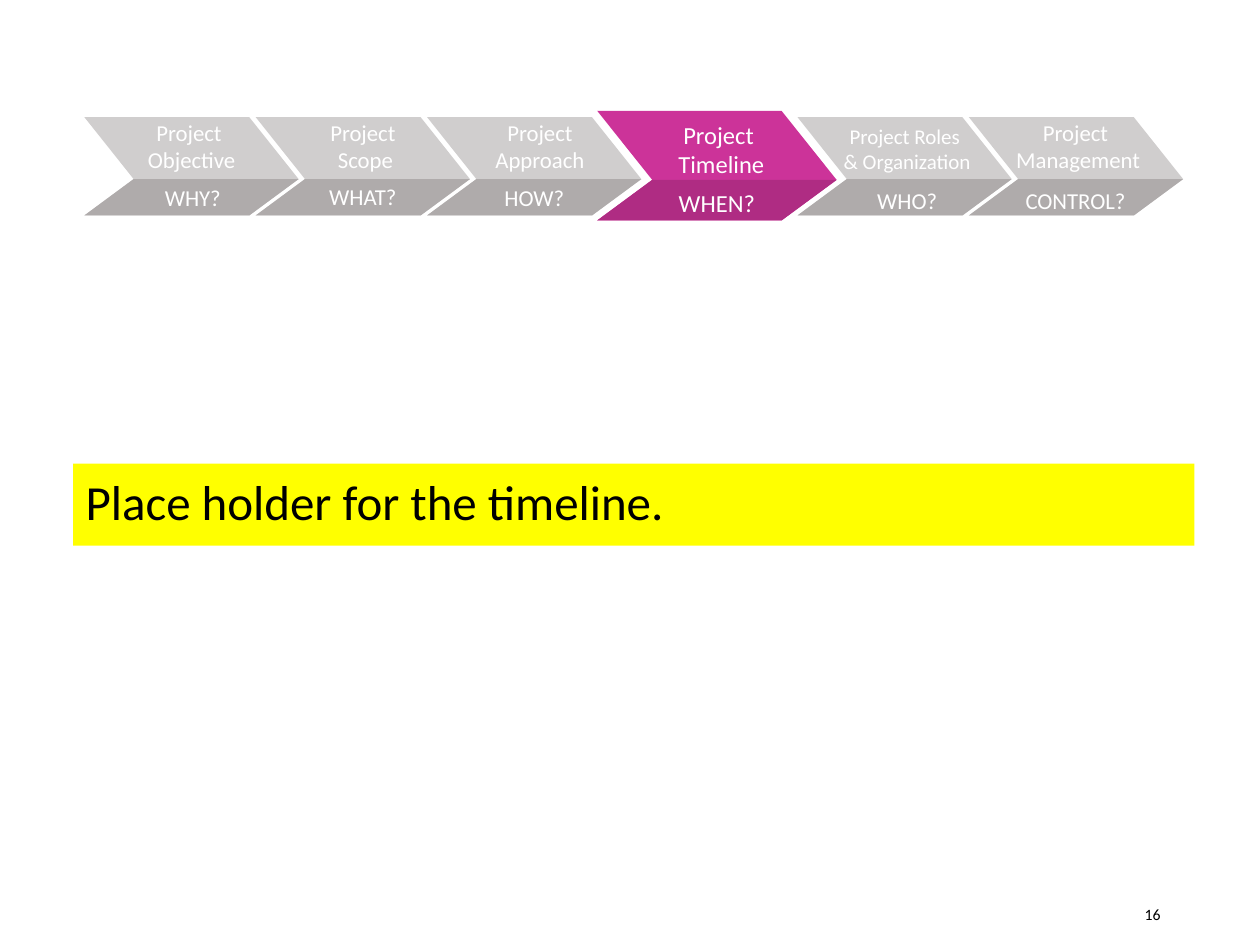
from dataclasses import dataclass

from pptx import Presentation
from pptx.dml.color import RGBColor
from pptx.enum.text import MSO_ANCHOR, MSO_AUTO_SIZE, PP_ALIGN
from pptx.util import Inches, Pt

LEFT, CENTER, RIGHT = PP_ALIGN.LEFT, PP_ALIGN.CENTER, PP_ALIGN.RIGHT
TOP, MIDDLE = MSO_ANCHOR.TOP, MSO_ANCHOR.MIDDLE
NO_AUTO_SIZE = MSO_AUTO_SIZE.NONE

TITLE_ONLY_LAYOUT = 5
FONT = "Calibri"
STEP_PITCH = 1.36
NOTCH_RATIO = 0.23
WAIST_RATIO = 0.63


@dataclass
class Chevron:
    top: float
    width: float
    height: float
    upper_color: str
    lower_color: str


PLAIN = Chevron(0.93, 1.7, 0.78, "D0CECE", "AFABAB")
ACTIVE = Chevron(0.88, 1.9, 0.87, "CC3399", "AF2C83")

# chevron, left, label lines, label box, question, question box, label size, question size
STEPS = [
    (PLAIN, 0.67, ["Project ", "Objective"], (0.68, 0.89, 1.68, 0.54),
     "WHY?", (0.69, 1.41, 1.68, 0.32), 13, 13),
    (PLAIN, 0.67 + STEP_PITCH, ["Project", " Scope"], (2.03, 0.89, 1.7, 0.54),
     "WHAT?", (2.03, 1.4, 1.7, 0.32), 13, 13),
    (PLAIN, 0.67 + 2 * STEP_PITCH, ["Project", "Approach"], (3.48, 0.89, 1.61, 0.54),
     "HOW?", (3.39, 1.41, 1.7, 0.32), 13, 13),
    (ACTIVE, 4.74, ["Project ", "Timeline"], (4.82, 0.9, 1.81, 0.57),
     "WHEN?", (4.74, 1.44, 1.9, 0.34), 14, 14),
    (PLAIN, 6.33, ["Project Roles ", "& Organization"], (6.35, 0.93, 1.7, 0.5),
     "WHO?", (6.35, 1.43, 1.7, 0.32), 12, 13),
    (PLAIN, 6.33 + STEP_PITCH, ["Project", " Management"], (7.69, 0.89, 1.69, 0.54),
     "CONTROL?", (7.69, 1.43, 1.69, 0.32), 13, 13),
]


def color(hex_value):
    return RGBColor.from_string(hex_value)


def set_attributes(target, values):
    for name, value in values.items():
        setattr(target, name, value)


def place(shape, box):
    names = ("left", "top", "width", "height")
    set_attributes(shape, dict(zip(names, map(Inches, box))))


def write_text(shape, lines, size, text_color, alignment, anchor=TOP, spacing=None):
    frame = shape.text_frame
    set_attributes(frame, {
        "text": "\n".join(lines), "word_wrap": True, "auto_size": NO_AUTO_SIZE,
        "vertical_anchor": anchor,
        "margin_left": Inches(0.1), "margin_right": Inches(0.1),
        "margin_top": Inches(0.05), "margin_bottom": Inches(0.05),
    })
    for paragraph in frame.paragraphs:
        set_attributes(paragraph, {"alignment": alignment, "line_spacing": spacing})
        for run in paragraph.runs:
            set_attributes(run.font, {"name": FONT, "size": Pt(size)})
            run.font.color.rgb = color(text_color)


def add_text(slide, box, lines, size, text_color="FFFFFF", alignment=CENTER, anchor=TOP):
    shape = slide.shapes.add_textbox(*map(Inches, box))
    write_text(shape, lines, size, text_color, alignment, anchor)


def add_polygon(slide, points, fill_color):
    start, *others = [(Inches(x), Inches(y)) for x, y in points]
    builder = slide.shapes.build_freeform(*start)
    builder.add_line_segments(others, close=True)
    shape = builder.convert_to_shape()
    shape.shadow.inherit = False
    shape.fill.solid()
    shape.fill.fore_color.rgb = color(fill_color)
    shape.line.fill.background()


def add_chevron(slide, left, chevron):
    """Draw the full arrow, then the darker band below its waist."""
    notch = chevron.width * NOTCH_RATIO
    right, bottom = left + chevron.width, chevron.top + chevron.height
    waist = chevron.top + chevron.height * WAIST_RATIO
    band = [(right, waist), (right - notch, bottom), (left, bottom), (left + notch, waist)]
    roof = [(left, chevron.top), (right - notch, chevron.top)]
    add_polygon(slide, band + roof, chevron.upper_color)
    add_polygon(slide, band, chevron.lower_color)


def add_title(slide, text):
    title = slide.shapes.title
    place(title, (0.58, 3.68, 8.9, 0.65))
    title.fill.solid()
    title.fill.fore_color.rgb = color("FFFF00")
    write_text(title, [text], 28, "000000", LEFT, MIDDLE, 0.9)


def main():
    presentation = Presentation()
    presentation.slide_width, presentation.slide_height = Inches(10), Inches(7.5)
    slide = presentation.slides.add_slide(presentation.slide_layouts[TITLE_ONLY_LAYOUT])
    add_text(slide, (7.06, 7.06, 2.25, 0.4), ["16"], 9, "000000", RIGHT, MIDDLE)
    add_title(slide, "Place holder for the timeline.")
    for chevron, left, *_ in STEPS:
        add_chevron(slide, left, chevron)
    for _, _, label, label_box, question, question_box, label_size, question_size in STEPS:
        add_text(slide, label_box, label, label_size)
        add_text(slide, question_box, [question], question_size)
    presentation.save("out.pptx")


if __name__ == "__main__":
    main()
